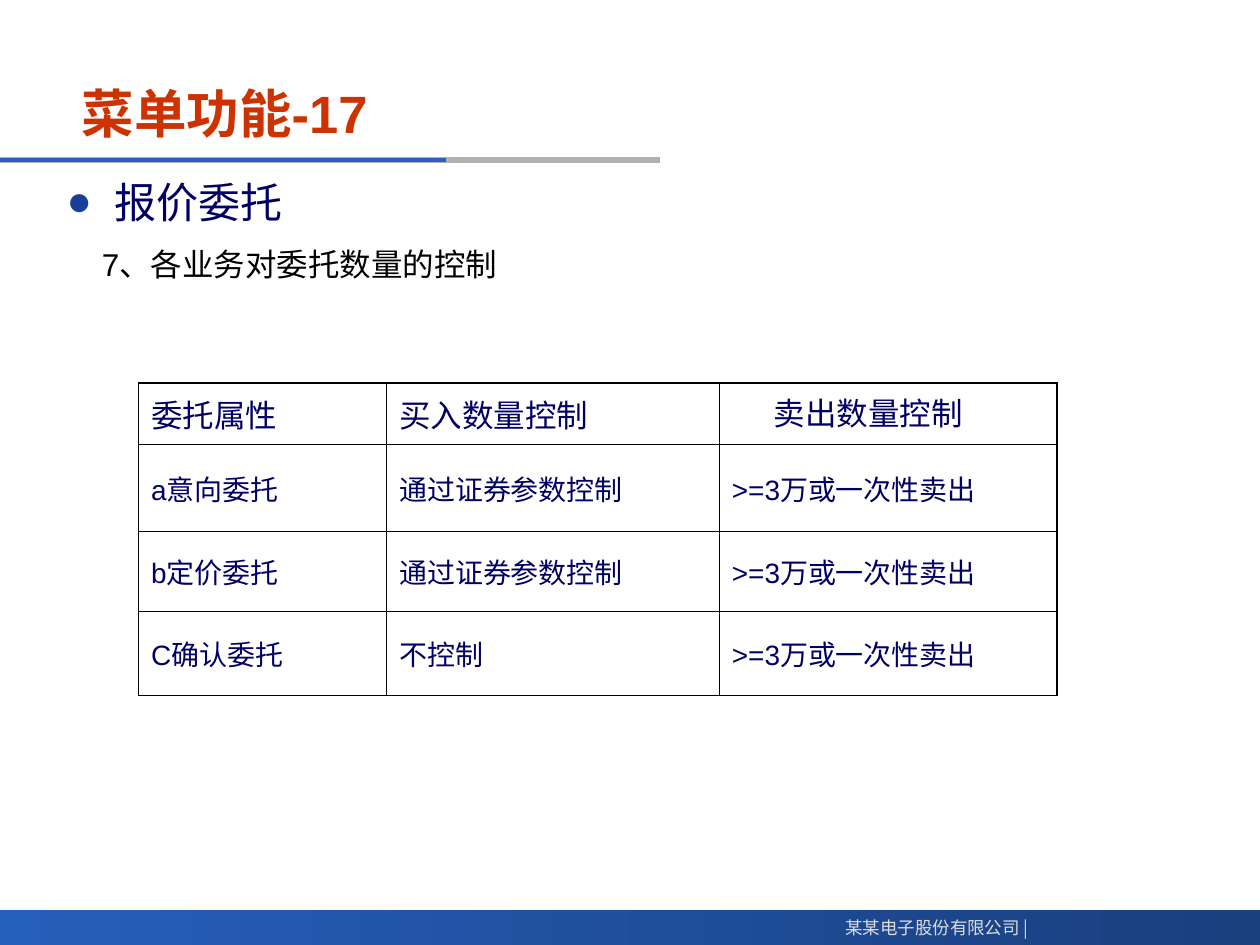
"""Build the slide on quantity control for quote orders."""
from lxml.etree import SubElement
from pptx import Presentation
from pptx.dml.color import RGBColor
from pptx.enum.shapes import MSO_CONNECTOR, MSO_SHAPE
from pptx.enum.text import MSO_ANCHOR as Anchor, PP_ALIGN as Align
from pptx.oxml import parse_xml
from pptx.oxml.ns import nsdecls, qn
from pptx.util import Inches, Pt

BLACK = RGBColor(0x00, 0x00, 0x00)
NAVY = RGBColor(0x00, 0x00, 0x64)
RED = RGBColor(0xCC, 0x33, 0x00)
BLUE = RGBColor(0x2A, 0x60, 0xC0)
GREY = RGBColor(0xB2, 0xB2, 0xB2)
PALE = RGBColor(0xDD, 0xDD, 0xDD)
BULLET = RGBColor(0x18, 0x40, 0x98)
FOOTER_COLORS = (RGBColor(0x26, 0x5F, 0xBC), RGBColor(0x19, 0x3F, 0x7D))
LATIN, CHINESE = "Arial", "Noto Sans CJK SC"

TITLE = "菜单功能-17"
TOPIC = "报价委托"
DETAIL = "7、各业务对委托数量的控制"
FOOTER = "某某电子股份有限公司 |"
ROWS = [
    ("委托属性", "买入数量控制", "卖出数量控制"),
    ("a意向委托", "通过证券参数控制", ">=3万或一次性卖出"),
    ("b定价委托", "通过证券参数控制", ">=3万或一次性卖出"),
    ("C确认委托", "不控制", ">=3万或一次性卖出"),
]
COLUMN_WIDTHS = (1.97, 2.64, 2.68)
ROW_HEIGHTS = (0.49, 0.69, 0.63, 0.67)
RULES = [(5.24, GREY, 3), (3.54, BLUE, 2.25)]
OUTER, INNER = 1.08, 0.45


def set_text(paragraph, text, size, color, bold=False, latin=LATIN):
    run = paragraph.add_run()
    run.text = text
    for name, value in {"size": Pt(size), "bold": bold, "name": latin}.items():
        setattr(run.font, name, value)
    run.font.color.rgb = color
    SubElement(run.font._element, qn("a:ea"), typeface=CHINESE)


def set_indent(paragraph, margin, hanging=0):
    properties = paragraph._p.get_or_add_pPr()
    properties.set("marL", str(Inches(margin)))
    properties.set("indent", str(-Inches(hanging)))
    return properties


def add_box(slide, place, anchor=Anchor.TOP, wrap=True):
    frame = slide.shapes.add_textbox(*map(Inches, place)).text_frame
    frame.word_wrap = wrap
    frame.vertical_anchor = anchor
    return frame


def add_footer(slide):
    bar = slide.shapes.add_shape(
        MSO_SHAPE.RECTANGLE, *map(Inches, (0, 7.22, 10, 0.28)))
    bar.shadow.inherit = False
    bar.line.fill.background()
    bar.fill.gradient()
    bar.fill.gradient_angle = 0
    for position, (stop, color) in enumerate(zip(bar.fill.gradient_stops, FOOTER_COLORS)):
        stop.position = position
        stop.color.rgb = color
    paragraph = add_box(slide, (6.51, 7.23, 1.75, 0.27), wrap=False).paragraphs[0]
    paragraph.alignment = Align.RIGHT
    set_text(paragraph, FOOTER, 10, PALE, latin=CHINESE)


def add_rules(slide):
    for end, color, width in RULES:
        rule = slide.shapes.add_connector(
            MSO_CONNECTOR.STRAIGHT, *map(Inches, (0, 1.27, end, 1.27)))
        rule.line.color.rgb = color
        rule.line.width = Pt(width)
        SubElement(rule._element.spPr, qn("a:effectLst"))


def add_body(slide):
    frame = add_box(slide, (0.43, 1.35, 9.33, 5.67))
    topic, detail = frame.paragraphs[0], frame.add_paragraph()
    properties = set_indent(topic, 0.38, 0.38)
    topic.space_after = Pt(6)
    color = SubElement(properties, qn("a:buClr"))
    SubElement(color, qn("a:srgbClr"), val=str(BULLET))
    SubElement(properties, qn("a:buFont"), typeface=LATIN)
    SubElement(properties, qn("a:buChar"), char="●")
    set_text(topic, TOPIC, 24, NAVY)
    set_indent(detail, 0.28)
    detail.space_before = detail.space_after = Pt(4.5)
    set_text(detail, DETAIL, 18, BLACK)


def set_borders(cell, widths):
    for index, (side, width) in enumerate(zip("LRTB", widths)):
        border = parse_xml(
            f'<a:ln{side} {nsdecls("a")} w="{Pt(width)}"><a:solidFill>'
            f'<a:srgbClr val="{BLACK}"/></a:solidFill></a:ln{side}>')
        cell._tc.get_or_add_tcPr().insert(index, border)


def add_control_table(slide):
    last_row, last_column = len(ROWS) - 1, len(COLUMN_WIDTHS) - 1
    table = slide.shapes.add_table(
        len(ROWS), len(COLUMN_WIDTHS), *map(Inches, (1.1, 3.04, 7.28, 2.48))).table
    table.first_row = table.horz_banding = False
    for column, width in zip(table.columns, COLUMN_WIDTHS):
        column.width = Inches(width)
    for row, height in zip(table.rows, ROW_HEIGHTS):
        row.height = Inches(height)
    for r, texts in enumerate(ROWS):
        for c, text in enumerate(texts):
            cell = table.cell(r, c)
            cell.fill.background()
            cell.vertical_anchor = Anchor.MIDDLE
            edges = (c == 0, c == last_column, r == 0, r == last_row)
            set_borders(cell, [OUTER if edge else INNER for edge in edges])
            set_text(cell.text_frame.paragraphs[0], text, 16 if r else 18, NAVY)
    heading = table.cell(0, last_column)
    heading.vertical_anchor = Anchor.TOP
    set_indent(heading.text_frame.paragraphs[0], 0.33)


def main():
    presentation = Presentation()
    presentation.slide_width, presentation.slide_height = Inches(10), Inches(7.5)
    slide = presentation.slides.add_slide(presentation.slide_layouts[6])
    add_footer(slide)
    add_rules(slide)
    title = add_box(slide, (0.55, 0.56, 6.92, 0.67), Anchor.MIDDLE)
    set_text(title.paragraphs[0], TITLE, 30, RED, bold=True)
    add_body(slide)
    add_control_table(slide)
    presentation.save("out.pptx")


if __name__ == "__main__":
    main()
